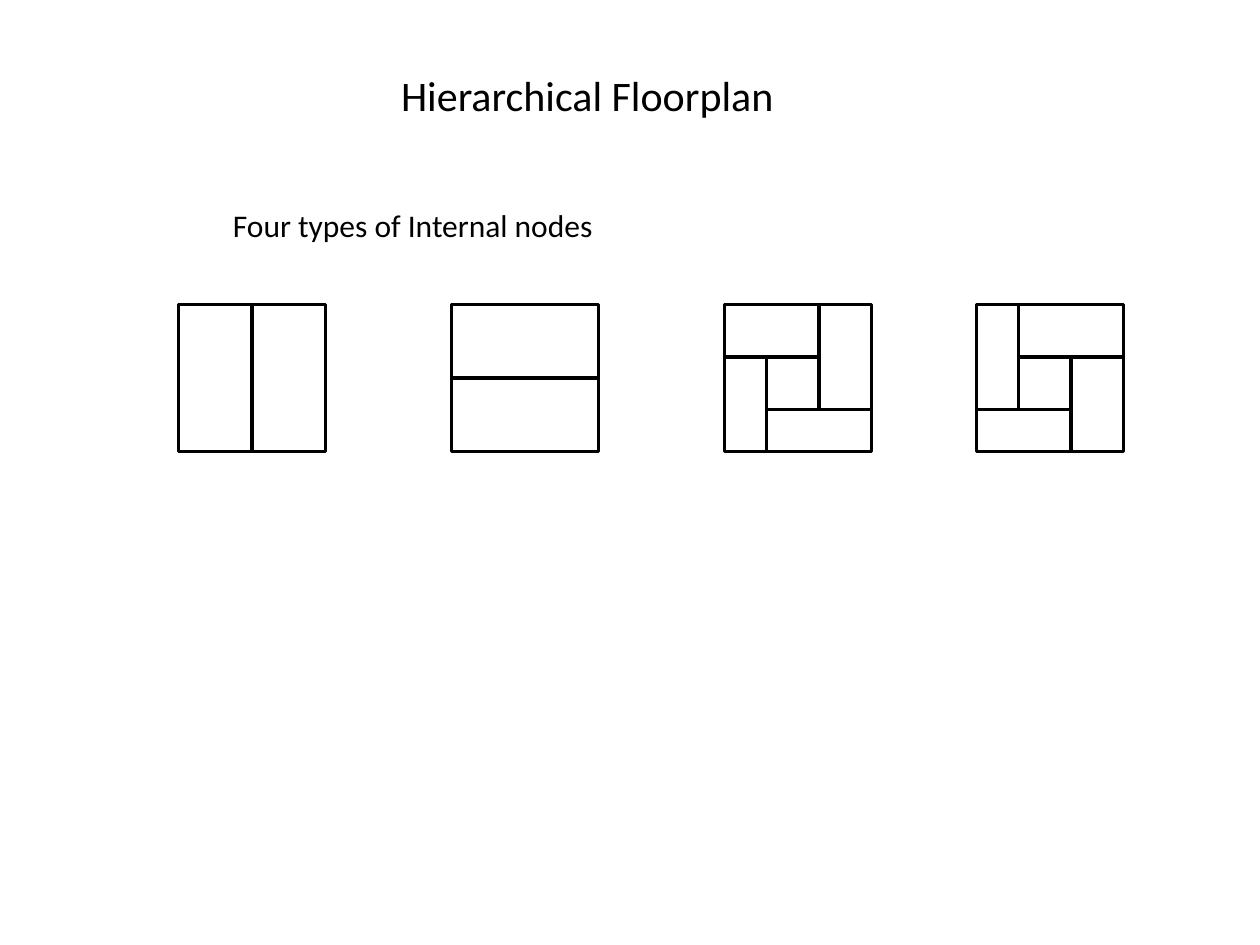
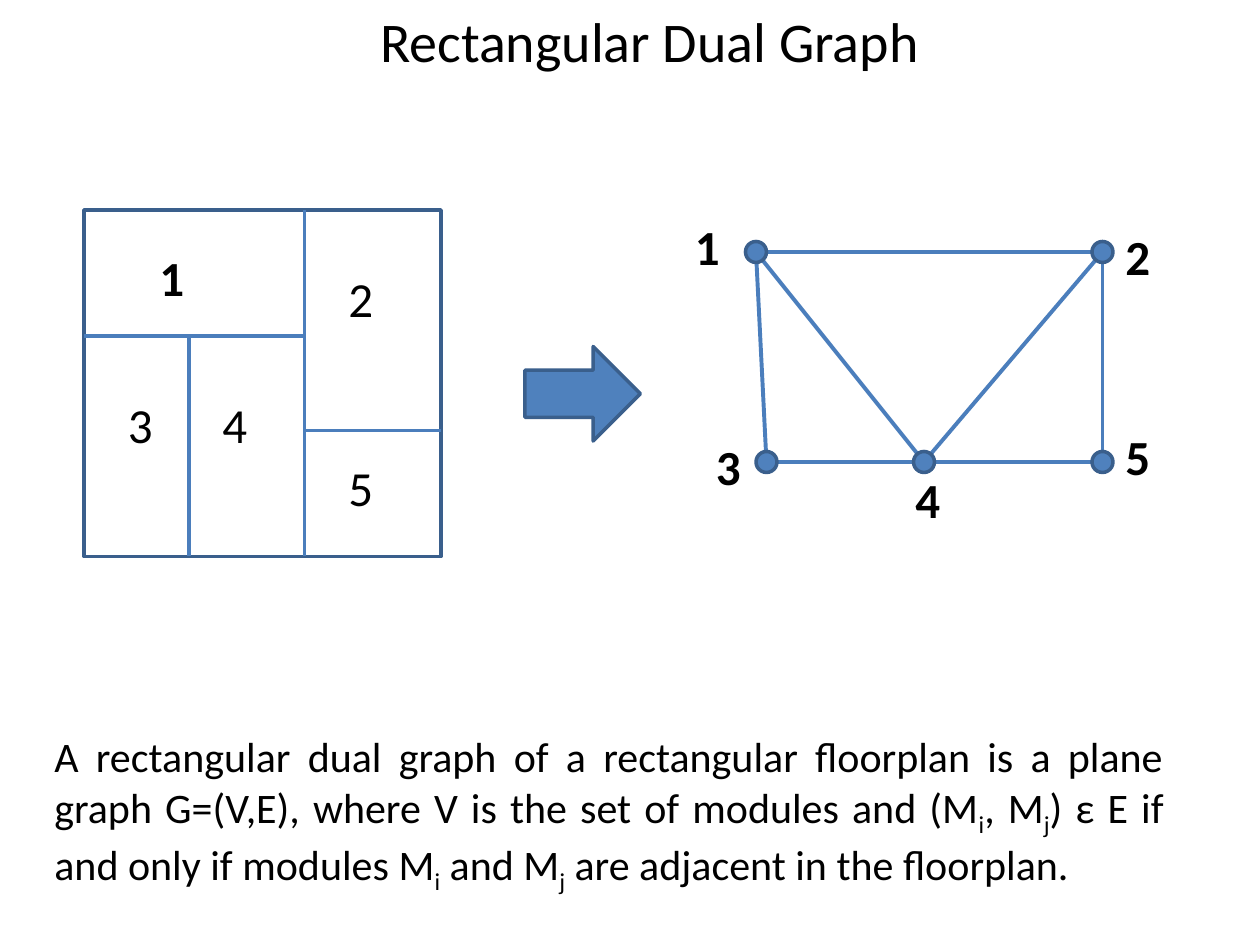
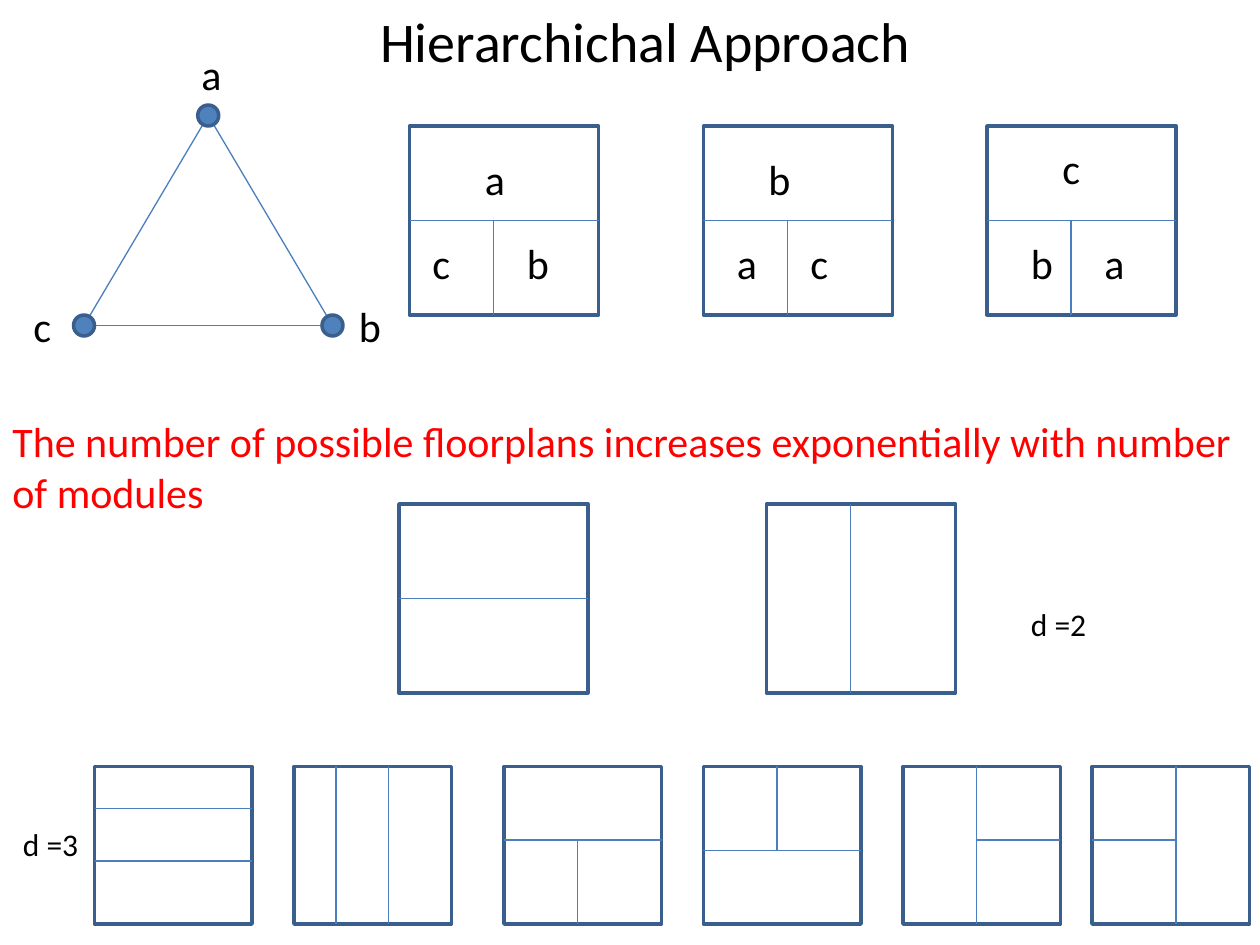
from lxml import etree
from pptx import Presentation
from pptx.dml.color import RGBColor
from pptx.enum import shapes, text
from pptx.oxml import ns
from pptx.util import Pt

COLOURS = {
    "ink": "000000",
    "paper": "FFFFFF",
    "alert": "FF0000",
    "fill": "4F81BD",
    "outline": "3A5F8C",
    "edge": "4B7EBC",
}
FONT = "Calibri"
NODE = 12


class Sketch:
    def __init__(self):
        self.deck = Presentation()
        self.deck.slide_width, self.deck.slide_height = Pt(720), Pt(540)
        self.page = None

    def colour(self, name):
        return RGBColor.from_string(COLOURS[name])

    def format_span(self, span, size, colour="ink", bold=False):
        span.font.name = FONT
        span.font.size = Pt(size)
        span.font.bold = bold
        span.font.color.rgb = self.colour(colour)

    def set_text(self, box, content, size, **style):
        frame = box.text_frame
        frame.text = content
        frame.word_wrap = True
        frame.auto_size = text.MSO_AUTO_SIZE.NONE
        frame.vertical_anchor = text.MSO_ANCHOR.TOP
        para = frame.paragraphs[0]
        para.alignment = text.PP_ALIGN.LEFT
        for span in para.runs:
            self.format_span(span, size, **style)

    def new_page(self, title, left, top, width, height, size=32):
        self.page = self.deck.slides.add_slide(self.deck.slide_layouts[5])
        box = self.page.shapes.title
        box.left, box.top, box.width, box.height = map(Pt, (left, top, width, height))
        self.set_text(box, title, size)

    def label(self, content, left, top, width=48, height=36, size=24, **style):
        box = self.page.shapes.add_textbox(*map(Pt, (left, top, width, height)))
        self.set_text(box, content, size, **style)

    def shape(self, kind, left, top, width, height, fill=None, line="outline"):
        box = self.page.shapes.add_shape(kind, *map(Pt, (left, top, width, height)))
        box.shadow.inherit = False
        if fill:
            box.fill.solid()
            box.fill.fore_color.rgb = self.colour(fill)
        else:
            box.fill.background()
        if line:
            box.line.color.rgb = self.colour(line)
            box.line.width = Pt(2)
        else:
            box.line.fill.background()
        return box

    def line(self, start, end, colour="edge", weight=2.25):
        connector = self.page.shapes.add_connector(
            shapes.MSO_CONNECTOR.STRAIGHT, *map(Pt, (*start, *end)))
        connector.line.color.rgb = self.colour(colour)
        connector.line.width = Pt(weight)
        etree.SubElement(connector._element.spPr, ns.qn("a:effectLst"))
        return connector

    def floorplan(self, left, top, width, height, cuts,
                  outline="outline", colour="edge", weight=2.25):
        box = self.shape(shapes.MSO_SHAPE.RECTANGLE, left, top, width, height, line=outline)
        sides = {(width / 2, 0): 0, (0, height / 2): 1,
                 (width / 2, height): 2, (width, height / 2): 3}
        for x1, y1, x2, y2 in cuts:
            cut = self.line((left + x1, top + y1), (left + x2, top + y2), colour, weight)
            if (x1, y1) in sides:
                cut.begin_connect(box, sides[x1, y1])
            if (x2, y2) in sides:
                cut.end_connect(box, sides[x2, y2])

    def graph(self, nodes, edges, weight=2.25):
        for first, second in edges:
            self.line(nodes[first], nodes[second], weight=weight)
        for x, y in nodes.values():
            self.shape(shapes.MSO_SHAPE.OVAL, x - NODE / 2, y - NODE / 2, NODE, NODE, "fill")

    def definition(self, pieces, left, top, width, height, size=24):
        box = self.shape(shapes.MSO_SHAPE.RECTANGLE, left, top, width, height, "paper", None)
        self.set_text(box, "", size)
        para = box.text_frame.paragraphs[0]
        para.alignment = text.PP_ALIGN.JUSTIFY
        for index, piece in enumerate(pieces):
            span = para.add_run()
            span.text = piece
            self.format_span(span, size)
            if index % 2:
                span._r.get_or_add_rPr().set("baseline", "-25000")


def internal_nodes(sketch):
    sketch.new_page("Hierarchical Floorplan", 222, 36, 246, 36, size=24)
    sketch.label("Four types of Internal nodes", 126, 114, 336, 29, size=18)
    side = 84
    node_types = {
        102: [(42, 0, 42, side)],
        258: [(0, 42, side, 42)],
        414: [(0, 30, 54, 30), (54, 0, 54, 60), (24, 30, 24, side), (24, 60, side, 60)],
        558: [(0, 60, 54, 60), (24, 0, 24, 60), (54, 30, 54, side), (24, 30, side, 30)],
    }
    for left, cuts in node_types.items():
        sketch.floorplan(left, 174, side, side, cuts, "ink", "ink")


def dual_graph(sketch):
    sketch.new_page("Rectangular Dual Graph", 210, 0, 330, 68)
    sketch.definition(
        ["A rectangular dual graph of a rectangular floorplan is a plane graph "
         "G=(V,E), where V is the set of modules and (M", "i", ", M", "j",
         ") ε E if and only if modules M", "i", " and M", "j",
         " are adjacent in the floorplan."], 24, 414, 648, 124)
    sketch.floorplan(48, 120, 204, 198, [
        (126, 0, 126, 198), (0, 72, 126, 72), (60, 72, 60, 198), (126, 126, 204, 126)])
    modules = {"1": (84, 138), "2": (192, 150), "3": (66, 222),
               "4": (120, 222), "5": (192, 258)}
    for name, spot in modules.items():
        sketch.label(name, *spot, height=41, size=28, bold=name == "1")
    sketch.shape(shapes.MSO_SHAPE.RIGHT_ARROW, 300, 198, 66, 54, "fill")
    sketch.graph({"1": (432, 144), "2": (630, 144), "3": (438, 264),
                  "4": (528, 264), "5": (630, 264)},
                 ["12", "13", "14", "24", "25", "34", "45"])
    vertex_labels = {"1": (390, 120), "2": (636, 126), "3": (402, 246),
                     "4": (516, 265), "5": (636, 240)}
    for name, spot in vertex_labels.items():
        sketch.label(name, *spot, height=41, size=28, bold=True)


def hierarchical_approach(sketch):
    thin = 0.75
    sketch.new_page("Hierarchichal Approach", 210, 0, 396, 46)
    sketch.graph({"a": (119, 66), "b": (190, 186), "c": (48, 186)},
                 ["ab", "ac", "bc"], thin)
    for name, spot in {"a": (108, 24), "b": (198, 168), "c": (12, 168)}.items():
        sketch.label(name, *spot)

    side = 108
    labelled_plans = [
        (234, {"a": (36, 12), "c": (6, 60), "b": (60, 60)}),
        (402, {"b": (30, 12), "a": (12, 60), "c": (54, 60)}),
        (564, {"c": (36, 6), "b": (18, 60), "a": (60, 60)}),
    ]
    for left, names in labelled_plans:
        sketch.floorplan(left, 72, side, side,
                         [(0, 54, side, 54), (48, 54, 48, side)], weight=thin)
        for name, (x, y) in names.items():
            sketch.label(name, left + x, 72 + y)

    sketch.label("The number of possible floorplans increases exponentially "
                 "with number of modules", 0, 234, 720, 66, colour="alert")
    for left, cut in {228: (0, 54, side, 54), 438: (48, 0, 48, side)}.items():
        sketch.floorplan(left, 288, side, side, [cut], weight=thin)
    sketch.label("d =2", 582, 342, 54, 30, size=18)

    side = 90
    three_modules = {
        54: [(0, 24, side, 24), (0, 54, side, 54)],
        168: [(24, 0, 24, side), (54, 0, 54, side)],
        288: [(0, 42, side, 42), (42, 42, 42, side)],
        402: [(0, 48, side, 48), (42, 0, 42, 48)],
        516: [(42, 0, 42, side), (42, 42, side, 42)],
        624: [(48, 0, 48, side), (0, 42, 48, 42)],
    }
    for left, cuts in three_modules.items():
        sketch.floorplan(left, 438, side, side, cuts, weight=thin)
    sketch.label("d =3", 6, 468, 54, 30, size=18)


def main():
    sketch = Sketch()
    internal_nodes(sketch)
    dual_graph(sketch)
    hierarchical_approach(sketch)
    sketch.deck.save("out.pptx")


if __name__ == "__main__":
    main()
